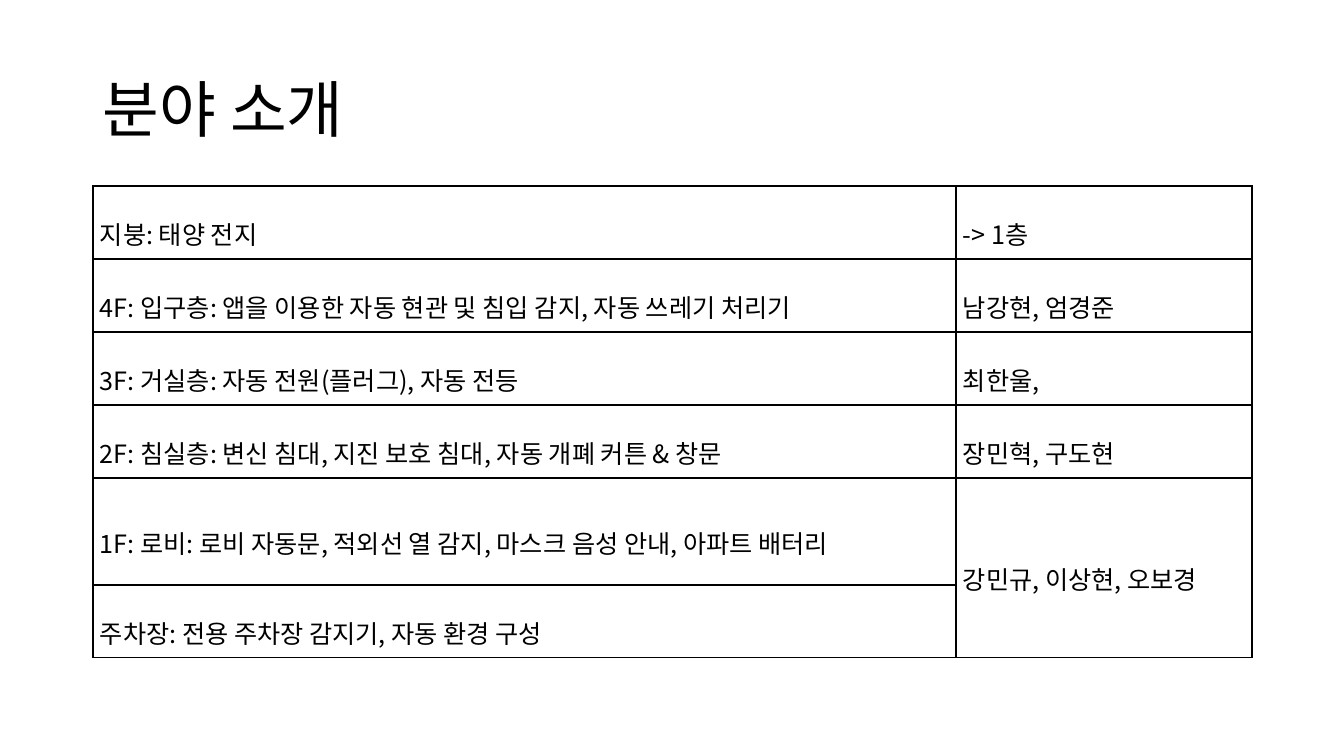
from dataclasses import dataclass

from lxml.etree import SubElement
from pptx import Presentation
from pptx.dml.color import RGBColor
from pptx.enum.text import MSO_ANCHOR, PP_ALIGN
from pptx.oxml.ns import qn
from pptx.util import Emu, Pt

EMU_PER_PIXEL = 914400 / 100.8


@dataclass(frozen=True)
class Theme:
    font: str = "Noto Sans CJK KR"
    ink: str = "000000"
    paper: str = "FFFFFF"
    title_size: int = 44
    body_size: int = 18
    border_width: int = 1


THEME = Theme()

TITLE = "분야 소개"
FLOORS = [
    "지붕: 태양 전지",
    "4F: 입구층: 앱을 이용한 자동 현관 및 침입 감지, 자동 쓰레기 처리기",
    "3F: 거실층: 자동 전원(플러그), 자동 전등",
    "2F: 침실층: 변신 침대, 지진 보호 침대, 자동 개폐 커튼 & 창문",
    "1F: 로비: 로비 자동문, 적외선 열 감지, 마스크 음성 안내, 아파트 배터리",
    "주차장: 전용 주차장 감지기, 자동 환경 구성",
]
MEMBERS = ["-> 1층", "남강현, 엄경준", "최한울, ", "장민혁, 구도현", "강민규, 이상현, 오보경"]
COLUMN_WIDTHS = [863, 296]
ROW_HEIGHTS = [73, 73, 73, 73, 107, 73]


def pixels(value):
    return Emu(round(value * EMU_PER_PIXEL))


def write_text(text_frame, text, *, size, line_spacing, align=PP_ALIGN.LEFT):
    paragraph = text_frame.paragraphs[0]
    paragraph.alignment = align
    paragraph.line_spacing = line_spacing
    run = paragraph.add_run()
    run.text = text
    run.font.size = Pt(size)
    run.font.name = THEME.font
    run.font.color.rgb = RGBColor.from_string(THEME.ink)
    # Korean glyphs take the East Asian typeface
    SubElement(run.font._element, qn("a:ea"), typeface=THEME.font)


def set_margins(holder, horizontal, vertical):
    holder.margin_left = holder.margin_right = pixels(horizontal)
    holder.margin_top = holder.margin_bottom = pixels(vertical)


def style_cell(cell):
    set_margins(cell, 7, 2)
    cell.vertical_anchor = MSO_ANCHOR.MIDDLE
    properties = cell._tc.get_or_add_tcPr()
    for side in ("lnL", "lnR", "lnT", "lnB"):
        line = SubElement(properties, qn(f"a:{side}"), w=str(Pt(THEME.border_width)))
        fill = SubElement(line, qn("a:solidFill"))
        SubElement(fill, qn("a:srgbClr"), val=THEME.ink)
    cell.fill.background()


def add_title(slide, left, top, width, height):
    shape = slide.shapes.add_textbox(*map(pixels, (left, top, width, height)))
    text_frame = shape.text_frame
    text_frame.word_wrap = True
    text_frame.vertical_anchor = MSO_ANCHOR.MIDDLE
    set_margins(text_frame, 10, 5)
    write_text(text_frame, TITLE, size=THEME.title_size, line_spacing=0.9)


def add_floor_table(slide, left, top):
    box = (left, top, sum(COLUMN_WIDTHS), sum(ROW_HEIGHTS))
    table = slide.shapes.add_table(
        len(ROW_HEIGHTS), len(COLUMN_WIDTHS), *map(pixels, box)
    ).table
    table.first_row = table.horz_banding = False
    for column, width in zip(table.columns, COLUMN_WIDTHS):
        column.width = pixels(width)
    for row, height in zip(table.rows, ROW_HEIGHTS):
        row.height = pixels(height)
    for cell in table.iter_cells():
        style_cell(cell)

    # The lobby and the car park share one team
    table.cell(4, 1).merge(table.cell(5, 1))
    for column_index, texts in enumerate((FLOORS, MEMBERS)):
        for row_index, text in enumerate(texts):
            write_text(
                table.cell(row_index, column_index).text_frame, text,
                size=THEME.body_size, line_spacing=1.6, align=PP_ALIGN.JUSTIFY,
            )


def build_slide(presentation):
    slide = presentation.slides.add_slide(presentation.slide_layouts[6])
    slide.background.fill.solid()
    slide.background.fill.fore_color.rgb = RGBColor.from_string(THEME.paper)
    add_title(slide, 93, 40, 1159, 146)
    add_floor_table(slide, 93, 186)


presentation = Presentation()
presentation.slide_width = pixels(1344)
presentation.slide_height = pixels(756)
build_slide(presentation)
presentation.save("out.pptx")
